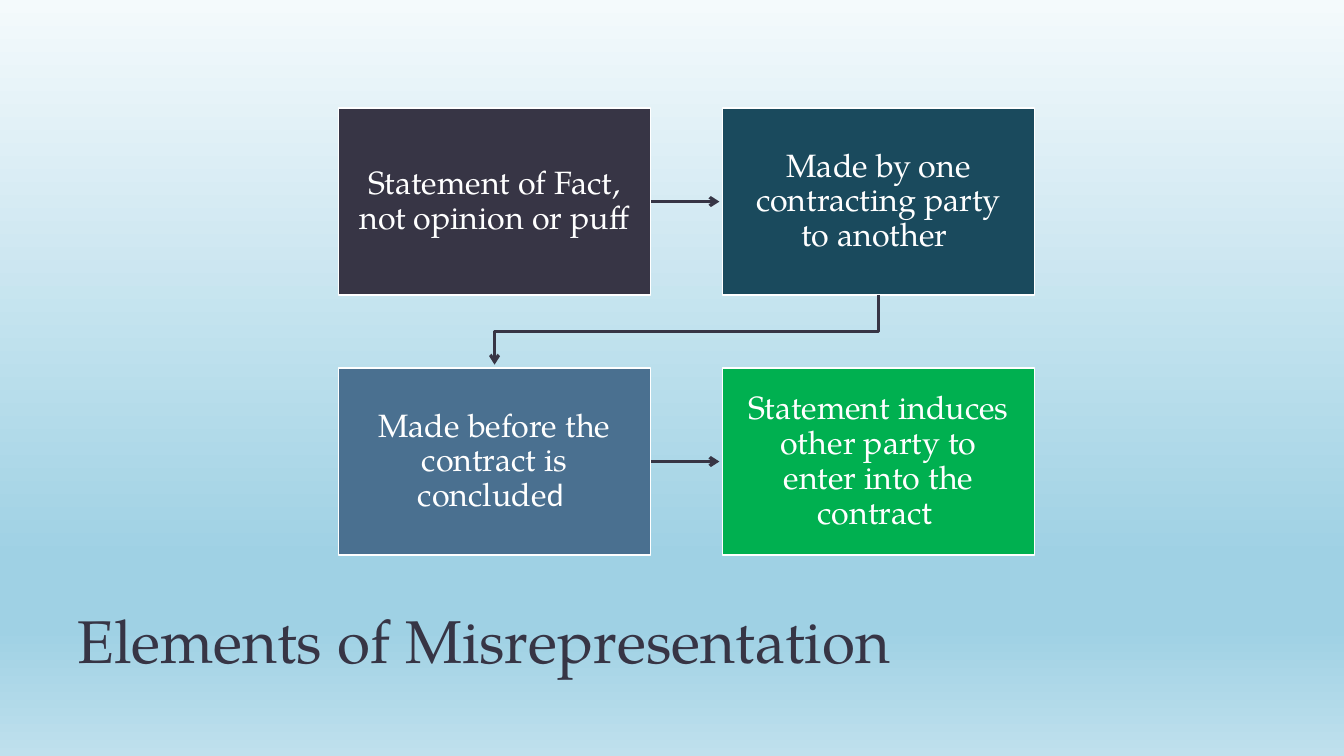
from dataclasses import dataclass

from lxml.etree import SubElement
from pptx import Presentation
from pptx.dml.color import RGBColor
from pptx.enum.shapes import MSO_CONNECTOR, MSO_SHAPE
from pptx.enum.text import MSO_ANCHOR, PP_ALIGN
from pptx.oxml.ns import qn
from pptx.shapes.autoshape import Shape
from pptx.shapes.connector import Connector
from pptx.slide import Slide
from pptx.text.text import TextFrame
from pptx.util import Cm, Pt


@dataclass(frozen=True)
class Theme:
    ink: str = "373545"
    white: str = "FFFFFF"
    teal: str = "1A4A5D"
    blue: str = "4A7090"
    green: str = "00B050"
    background: tuple[tuple[int, str], ...] = (
        (0, "F4FAFC"), (74, "9FD1E4"), (83, "9FD1E4"), (100, "BFE0ED"))
    font: str = "TeX Gyre Pagella"
    fallback_font: str = "Calibri"
    title_size: int = 43
    box_size: int = 23
    arrow_width: float = 2.25
    border_width: float = 1


THEME = Theme()


@dataclass(frozen=True)
class TextRun:
    text: str
    font: str = THEME.font


@dataclass(frozen=True)
class Element:
    column: int
    row: int
    fill: str
    runs: tuple[TextRun, ...]


ELEMENTS = (
    Element(0, 0, THEME.ink, (TextRun("Statement of Fact, not opinion or puff "),)),
    Element(1, 0, THEME.teal, (TextRun("Made by one contracting party to another "),)),
    Element(0, 1, THEME.blue, (TextRun("Made before the contract is conclude"),
                               TextRun("d ", THEME.fallback_font))),
    Element(1, 1, THEME.green, (TextRun("Statement induces other party to enter into the contrac"),
                                TextRun("t ", THEME.fallback_font))),
)

GRID_LEFT, GRID_TOP = Cm(8.53), Cm(2.72)
COLUMN_PITCH, ROW_PITCH = Cm(9.68), Cm(6.55)
BOX_WIDTH, BOX_HEIGHT = Cm(7.87), Cm(4.72)
BOX_INSET = Cm(0.46)
ARROW_CLEARANCE = Cm(0.08)
BOTTOM_SIDE, RIGHT_SIDE = 2, 3


def paint_background(slide: Slide) -> None:
    fill = slide.background.fill
    fill.gradient()
    fill.gradient_angle = 270
    stops = slide.element.find(".//" + qn("a:gsLst"))
    for stop in list(stops):
        stops.remove(stop)
    for percent, color in THEME.background:
        stop = SubElement(stops, qn("a:gs"), pos=str(percent * 1000))
        SubElement(stop, qn("a:srgbClr"), val=color)


def write_paragraph(frame: TextFrame, runs: tuple[TextRun, ...], size: int,
                    color: str, spacing: float, alignment: PP_ALIGN) -> None:
    frame.word_wrap = True
    paragraph = frame.paragraphs[0]
    paragraph.alignment = alignment
    paragraph.line_spacing = spacing
    for text_run in runs:
        run = paragraph.add_run()
        run.text = text_run.text
        run.font.name = text_run.font
        run.font.size = Pt(size)
        run.font.color.rgb = RGBColor.from_string(color)


def add_title(slide: Slide, text: str) -> None:
    frame = slide.shapes.add_textbox(Cm(1.7), Cm(14.17), Cm(30.48), Cm(2.97)).text_frame
    frame.vertical_anchor = MSO_ANCHOR.BOTTOM
    write_paragraph(frame, (TextRun(text),), THEME.title_size, THEME.ink, 0.8, PP_ALIGN.LEFT)


def add_box(slide: Slide, element: Element) -> Shape:
    box = slide.shapes.add_shape(
        MSO_SHAPE.RECTANGLE,
        GRID_LEFT + element.column * COLUMN_PITCH,
        GRID_TOP + element.row * ROW_PITCH,
        BOX_WIDTH, BOX_HEIGHT)
    box.shadow.inherit = False
    box.fill.solid()
    box.fill.fore_color.rgb = RGBColor.from_string(element.fill)
    box.line.color.rgb = RGBColor.from_string(THEME.white)
    box.line.width = Pt(THEME.border_width)
    frame = box.text_frame
    frame.margin_left = frame.margin_right = BOX_INSET
    frame.margin_top = frame.margin_bottom = BOX_INSET
    frame.vertical_anchor = MSO_ANCHOR.MIDDLE
    write_paragraph(frame, element.runs, THEME.box_size, THEME.white, 0.9, PP_ALIGN.CENTER)
    return box


def style_arrow(arrow: Shape | Connector) -> None:
    arrow.line.color.rgb = RGBColor.from_string(THEME.ink)
    arrow.line.width = Pt(THEME.arrow_width)
    properties = arrow.element.spPr
    SubElement(properties.find(qn("a:ln")), qn("a:tailEnd"), type="arrow")
    if properties.find(qn("a:effectLst")) is None:
        SubElement(properties, qn("a:effectLst"))


def add_row_arrow(slide: Slide, source: Shape, target: Shape) -> None:
    middle = source.top + source.height // 2
    arrow = slide.shapes.add_connector(
        MSO_CONNECTOR.STRAIGHT, source.left + source.width, middle,
        target.left - ARROW_CLEARANCE, middle)
    arrow.begin_connect(source, RIGHT_SIDE)
    style_arrow(arrow)


def add_return_arrow(slide: Slide, source: Shape, target: Shape) -> None:
    """Lead from the bottom of one box to the top of a box in the next row."""
    start_x = source.left + source.width // 2
    end_x = target.left + target.width // 2
    start_y = source.top + source.height
    turn_y = (start_y + target.top) // 2
    builder = slide.shapes.build_freeform(start_x, start_y)
    builder.add_line_segments(
        [(start_x, turn_y), (end_x, turn_y), (end_x, target.top - ARROW_CLEARANCE)],
        close=False)
    arrow = builder.convert_to_shape()
    arrow.fill.background()
    style_arrow(arrow)


def main() -> None:
    presentation = Presentation()
    presentation.slide_width, presentation.slide_height = Cm(33.87), Cm(19.05)
    slide = presentation.slides.add_slide(presentation.slide_layouts[6])
    paint_background(slide)
    add_title(slide, "Elements of Misrepresentation")
    fact, party, timing, inducement = [add_box(slide, element) for element in ELEMENTS]
    add_row_arrow(slide, fact, party)
    add_return_arrow(slide, party, timing)
    add_row_arrow(slide, timing, inducement)
    presentation.save("out.pptx")


if __name__ == "__main__":
    main()
